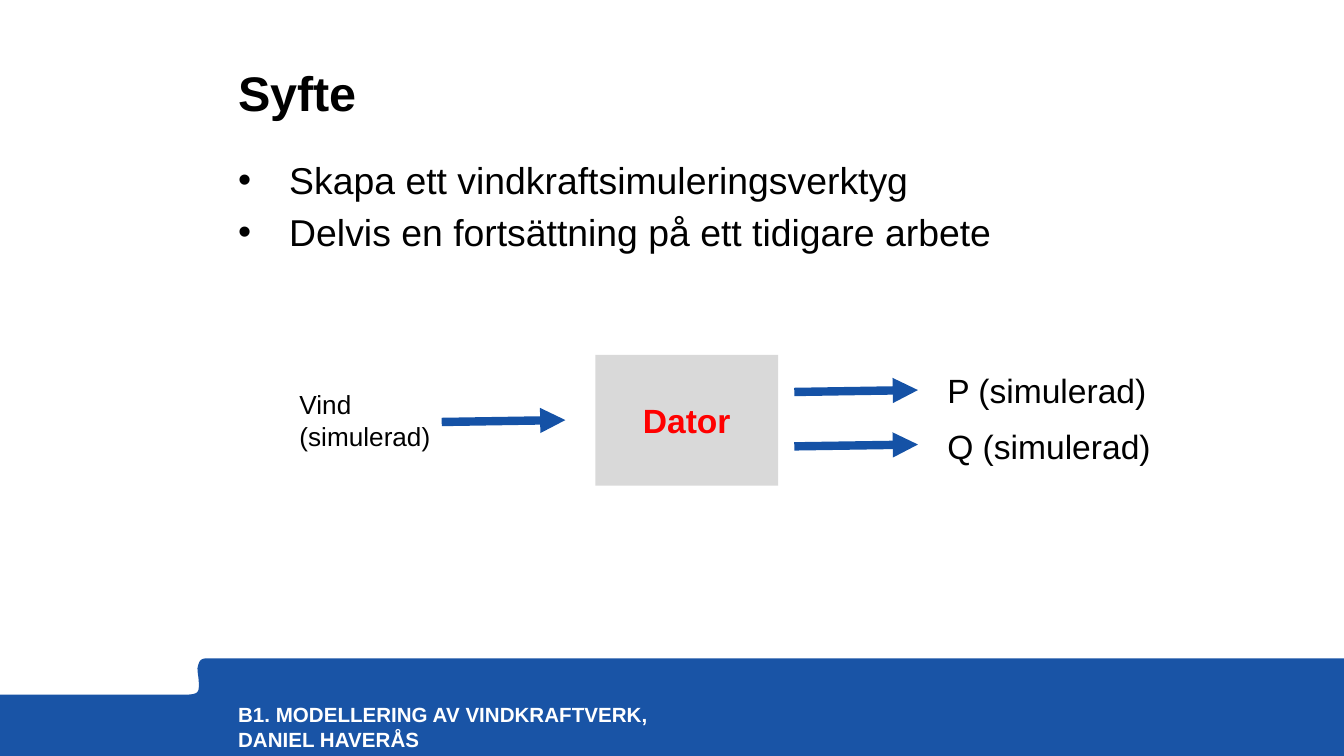
from lxml.etree import SubElement
from pptx import Presentation
from pptx.dml.color import RGBColor
from pptx.enum.shapes import MSO_CONNECTOR, MSO_SHAPE
from pptx.enum.text import MSO_ANCHOR, PP_ALIGN
from pptx.oxml.ns import qn
from pptx.util import Inches, Pt

WIDTH = 10
HEIGHT = WIDTH * 9 / 16
COLORS = {"band": "1954A6", "arrow": "1552A6", "box": "D9D9D9",
          "black": "000000", "white": "FFFFFF", "red": "FF0000"}

# Content: places are percentages of the slide's width and height
MARGIN = 17.72
NO_INSETS = {"margin_left": 0, "margin_top": 0, "margin_right": 0, "margin_bottom": 0}
BULLET_INDENT = 0.38

TEXTS = [
    {"lines": ["Syfte"], "place": (MARGIN, 6.2, 75.9, 9.8),
     "font": {"size": Pt(26), "bold": True}, "color": "black",
     "frame": {**NO_INSETS, "vertical_anchor": MSO_ANCHOR.BOTTOM},
     "paragraph": {"line_spacing": Pt(30)}},
    {"lines": ["Skapa ett vindkraftsimuleringsverktyg",
               "Delvis en fortsättning på ett tidigare arbete"],
     "place": (MARGIN, 20.8, 75.9, 61.9), "font": {"size": Pt(20)}, "color": "black",
     "frame": NO_INSETS, "paragraph": {"space_before": Pt(4)}, "bullet": "•"},
    {"lines": ["B1. MODELLERING AV VINDKRAFTVERK, DANIEL HAVERÅS"],
     "place": (MARGIN, 92.9, 31.7, 5.3),
     "font": {"size": Pt(11), "bold": True}, "color": "white", "frame": NO_INSETS},
    {"lines": ["Vind (simulerad)"], "place": (21.3, 50.55, 12.6, 10.1),
     "font": {"size": Pt(14)}, "color": "black"},
]
OUTPUTS = ["P (simulerad)", "Q (simulerad)"]
OUTPUT_TOP, OUTPUT_STEP = 48.05, 7.45
COMPUTER = {"lines": ["Dator"], "place": (44.3, 46.95, 13.6, 17.3),
            "font": {"size": Pt(18), "bold": True}, "color": "red",
            "frame": {"vertical_anchor": MSO_ANCHOR.MIDDLE},
            "paragraph": {"alignment": PP_ALIGN.CENTER}}
ARROWS = [(32.87, 55.82), (59.1, 51.85), (59.1, 59.05)]
ARROW_LENGTH, ARROW_RISE = 9.2, 0.25

# Footer band: a start point, then straight lines (1 point) or curves (3 points)
BAND_START = (15.4, 87.1)
BAND_PATH = [
    [(100, 87.1)], [(100, 100.3)], [(0, 100.3)], [(0, 91.9)], [(14, 91.9)],
    [(14.7, 91.8), (14.8, 91.6), (14.8, 90.7)],
    [(14.8, 89.6), (14.7, 89.1), (14.7, 88.4)],
    [(14.8, 87.5), (14.9, 87.1), (15.4, 87.1)],
]


def across(share):
    return Inches(WIDTH * share / 100)


def down(share):
    return Inches(HEIGHT * share / 100)


def box(place):
    left, top, width, height = place
    return across(left), down(top), across(width), down(height)


def color(name):
    return RGBColor.from_string(COLORS[name])


def apply(target, values):
    for name, value in values.items():
        setattr(target, name, value)


def paint(shape, name):
    shape.shadow.inherit = False
    shape.fill.solid()
    shape.fill.fore_color.rgb = color(name)
    shape.line.fill.background()


def add_bullet(paragraph, character):
    properties = paragraph._p.get_or_add_pPr()
    properties.set("marL", str(Inches(BULLET_INDENT)))
    properties.set("indent", str(-Inches(BULLET_INDENT)))
    SubElement(properties, qn("a:buFont")).set("typeface", "Arial")
    SubElement(properties, qn("a:buChar")).set("char", character)


def write(shape, item):
    frame = shape.text_frame
    apply(frame, {"word_wrap": True, **item.get("frame", {})})
    for index, line in enumerate(item["lines"]):
        paragraph = frame.add_paragraph() if index else frame.paragraphs[0]
        apply(paragraph, item.get("paragraph", {}))
        if "bullet" in item:
            add_bullet(paragraph, item["bullet"])
        run = paragraph.add_run()
        run.text = line
        apply(run.font, {"name": "Arial", **item["font"]})
        run.font.color.rgb = color(item["color"])


def add_text(slide, item):
    write(slide.shapes.add_textbox(*box(item["place"])), item)


def curve(points, steps=8):
    for step in range(1, steps + 1):
        t = step / steps
        weights = ((1 - t) ** 3, 3 * t * (1 - t) ** 2, 3 * t * t * (1 - t), t ** 3)
        yield tuple(sum(w * p[axis] for w, p in zip(weights, points)) for axis in (0, 1))


def add_band(slide):
    outline = [BAND_START]
    for segment in BAND_PATH:
        outline += segment if len(segment) == 1 else curve([outline[-1], *segment])
    points = [(across(x), down(y)) for x, y in outline]
    builder = slide.shapes.build_freeform(*points[0])
    builder.add_line_segments(points[1:], close=True)
    paint(builder.convert_to_shape(), "band")


def add_arrow(slide, x, y):
    arrow = slide.shapes.add_connector(
        MSO_CONNECTOR.STRAIGHT, across(x), down(y),
        across(x + ARROW_LENGTH), down(y - ARROW_RISE))
    arrow.line.color.rgb = color("arrow")
    arrow.line.width = Pt(4.5)
    SubElement(arrow.line._get_or_add_ln(), qn("a:tailEnd")).set("type", "triangle")
    SubElement(arrow._element.spPr, qn("a:effectLst"))


def main():
    presentation = Presentation()
    presentation.slide_width, presentation.slide_height = Inches(WIDTH), Inches(HEIGHT)
    slide = presentation.slides.add_slide(presentation.slide_layouts[6])

    # Footer band, title, bullets, footer and input label
    add_band(slide)
    for item in TEXTS:
        add_text(slide, item)

    # Computer box with its arrows
    computer = slide.shapes.add_shape(MSO_SHAPE.RECTANGLE, *box(COMPUTER["place"]))
    paint(computer, "box")
    write(computer, COMPUTER)
    for x, y in ARROWS:
        add_arrow(slide, x, y)

    # Output labels
    for row, label in enumerate(OUTPUTS):
        add_text(slide, {"lines": [label], "font": {"size": Pt(18)}, "color": "black",
                         "place": (69.5, OUTPUT_TOP + row * OUTPUT_STEP, 18, 7.1)})

    presentation.save("out.pptx")


if __name__ == "__main__":
    main()
